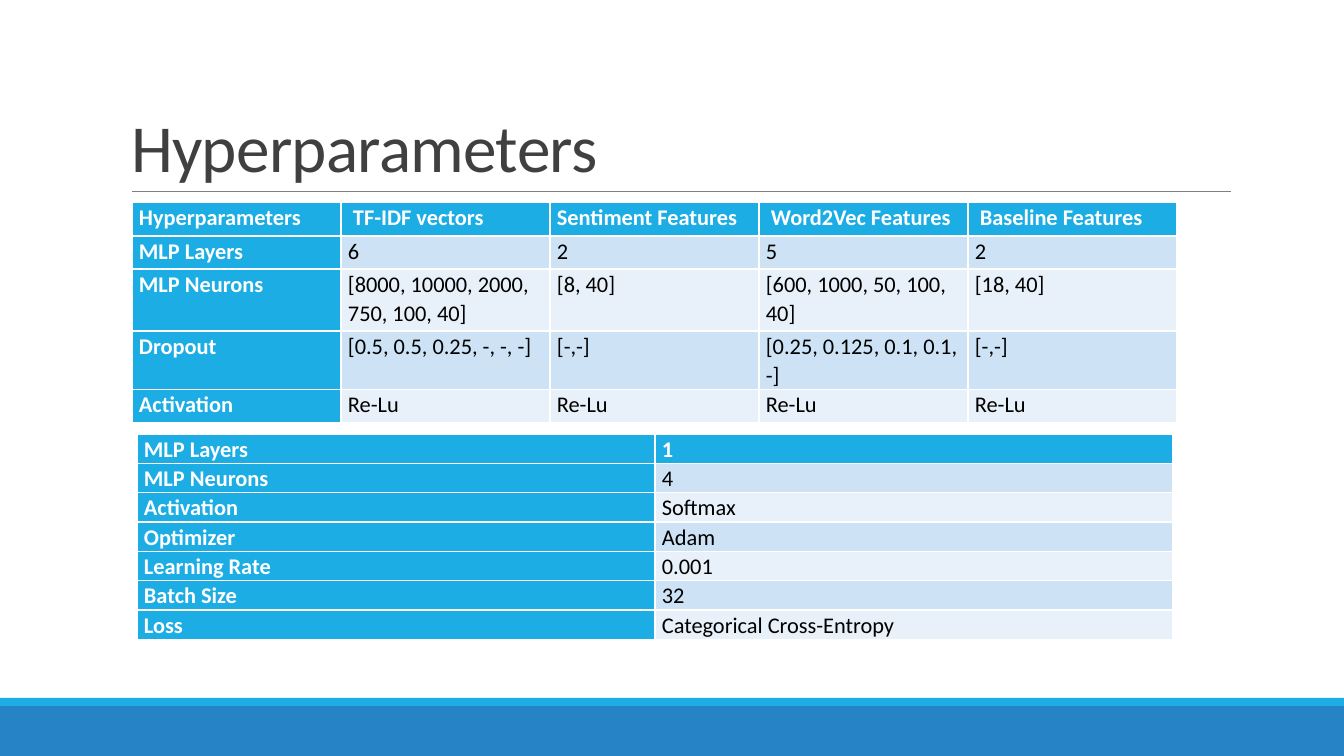
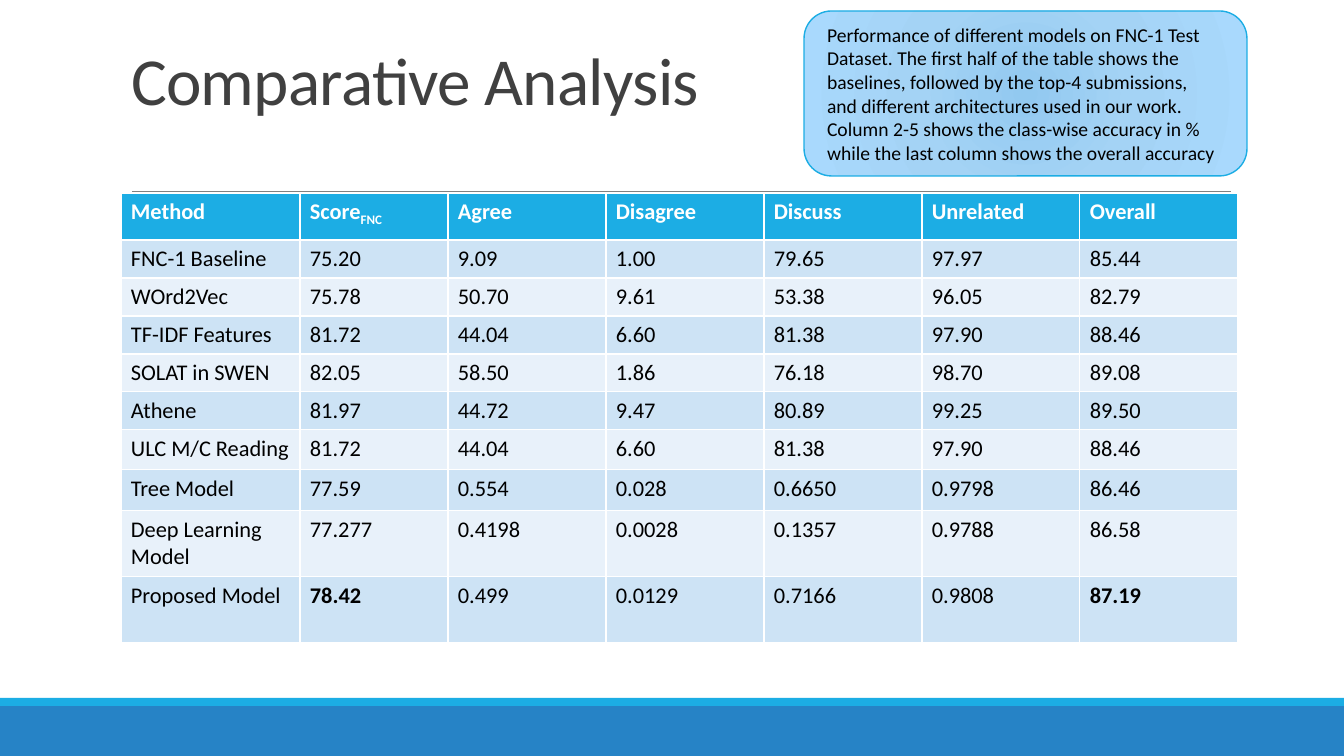
from pptx import Presentation, util as u
from pptx.dml.color import RGBColor
from pptx.enum import shapes, text
from pptx.oxml import parse_xml
from pptx.oxml.ns import nsdecls, qn
from pptx.oxml.xmlchemy import OxmlElement

BLUE = RGBColor(0x26, 0x83, 0xC6)
CYAN = RGBColor(0x1C, 0xAD, 0xE4)
BAND = RGBColor(0xCD, 0xE3, 0xF5)
PALE = RGBColor(0xE8, 0xF1, 0xFA)
GREY = RGBColor(0x80, 0x80, 0x80)
DARK = RGBColor(0x40, 0x40, 0x40)
WHITE = RGBColor(0xFF, 0xFF, 0xFF)
BLACK = RGBColor(0x00, 0x00, 0x00)
GLOW = [(0, "92C9F0"), (45, "A4D3F5"), (100, "A9D9FD")]
FONT = "Calibri"
SCALE = 914400 / 100.8


def px(*nums):
    return [u.Emu(round(n * SCALE)) for n in nums]


def add_grid(slide, spot, cols, rows, data, side=False, pad=(10, 5), lead=None):
    """Draw a banded table; side also colours the first column as a header."""
    size = sum(cols), sum(rows)
    grid = slide.shapes.add_table(len(rows), len(cols), *px(*spot, *size)).table
    grid.first_col = side
    for col, wide in zip(grid.columns, px(*cols)):
        col.width = wide
    for row, high in zip(grid.rows, px(*rows)):
        row.height = high
    for r, line in enumerate(data):
        for c, words in enumerate(line):
            head = r == 0 or (side and c == 0)
            cell = grid.cell(r, c)
            cell.margin_left, cell.margin_top = px(*pad)
            cell.margin_right, cell.margin_bottom = px(*pad)
            cell.fill.solid()
            cell.fill.fore_color.rgb = CYAN if head else (PALE, BAND)[r % 2]
            cell.text = words
            para = cell.text_frame.paragraphs[0]
            para.line_spacing = lead
            para.font.name, para.font.size = FONT, u.Pt(16)
            para.font.bold = head
            para.font.color.rgb = WHITE if head else BLACK
    return grid


deck = Presentation()
deck.slide_width, deck.slide_height = px(1344, 756)
layout = deck.slide_layouts[5]
for hold in list(layout.placeholders)[1:]:
    hold.element.getparent().remove(hold.element)

# Titles
slides = []
for name, top, high in [("Hyperparameters", 31, 160), ("Comparative Analysis", 34, 90)]:
    slide = deck.slides.add_slide(layout)
    title = slide.shapes.title
    title.left, title.top, title.width, title.height = px(121, top, 1109, high)
    frame = title.text_frame
    frame.text = name
    frame.auto_size = text.MSO_AUTO_SIZE.NONE
    frame.vertical_anchor = text.MSO_ANCHOR.BOTTOM
    para = frame.paragraphs[0]
    para.alignment = text.PP_ALIGN.LEFT
    para.line_spacing = 0.85
    para.font.name, para.font.size = FONT, u.Pt(48)
    para.font.color.rgb = DARK
    para._p.get_or_add_pPr().get_or_add_defRPr().set("spc", "-50")
    slides.append(slide)
params, scores = slides

# Footer bands and title rule, moved to the shared layout
parts = []
for top, high, tint in [(706, 50, BLUE), (698, 8, CYAN)]:
    bar = params.shapes.add_shape(shapes.MSO_SHAPE.RECTANGLE, *px(0, top, 1344, high))
    bar.shadow.inherit = False
    bar.fill.solid()
    bar.fill.fore_color.rgb = tint
    bar.line.fill.background()
    parts.append(bar)
rule = params.shapes.add_connector(shapes.MSO_CONNECTOR.STRAIGHT, *px(132, 191, 1231, 191))
rule.line.color.rgb, rule.line.width = GREY, u.Pt(0.5)
rule.element.spPr.append(OxmlElement("a:effectLst"))
parts.append(rule)
for part in parts:
    layout.shapes.element.append(part.element)

# Hyperparameters
add_grid(params, (132, 202), [209] * 5, [34, 33, 62, 50, 33], [
    ["Hyperparameters", " TF-IDF vectors", "Sentiment Features",
     " Word2Vec Features", " Baseline Features"],
    ["MLP Layers", "6", "2", "5", "2"],
    ["MLP Neurons", "[8000, 10000, 2000, 750, 100, 40]", "[8, 40]",
     "[600, 1000, 50, 100, 40]", "[18, 40]"],
    ["Dropout", "[0.5, 0.5, 0.25, -, -, -]", "[-,-]", "[0.25, 0.125, 0.1, 0.1, -]", "[-,-]"],
    ["Activation"] + ["Re-Lu"] * 4,
], side=True, pad=(7, 0), lead=1.07)
add_grid(params, (137, 434), [518] * 2, [24] * 7, [
    ["MLP Layers", "1"],
    ["MLP Neurons", "4"],
    ["Activation", "Softmax"],
    ["Optimizer", "Adam"],
    ["Learning Rate", "0.001"],
    ["Batch Size", "32"],
    ["Loss", "Categorical Cross-Entropy"],
], side=True, pad=(7, 0), lead=1.07)

# Comparative analysis
note = scores.shapes.add_shape(shapes.MSO_SHAPE.ROUNDED_RECTANGLE, *px(804, 11, 443, 165))
note.shadow.inherit = False
note.line.color.rgb, note.line.width = CYAN, u.Pt(1)
note.fill.gradient()
stops = "".join(f'<a:gs pos="{pos * 1000}"><a:srgbClr val="{tint}"/></a:gs>' for pos, tint in GLOW)
glow = parse_xml(
    f'<a:gradFill {nsdecls("a")}><a:gsLst>{stops}</a:gsLst><a:path path="circle">'
    '<a:fillToRect l="100000" t="100000" r="100000" b="100000"/></a:path></a:gradFill>')
props = note.element.spPr
props.replace(props.find(qn("a:gradFill")), glow)
frame = note.text_frame
frame.word_wrap = True
frame.margin_left, frame.margin_top, frame.margin_right, frame.margin_bottom = px(15, 0, 19, 0)
frame.vertical_anchor = text.MSO_ANCHOR.MIDDLE
frame.text = (
    "Performance of diﬀerent models on FNC-1 Test Dataset. The ﬁrst half of the table shows "
    "the baselines, followed by the top-4 submissions, and diﬀerent architectures used in our "
    "work. Column 2-5 shows the class-wise accuracy in % while the last column shows the "
    "overall accuracy")
para = frame.paragraphs[0]
para.alignment = text.PP_ALIGN.LEFT
para.font.name, para.font.size = FONT, u.Pt(14)
para.font.color.rgb = BLACK

grid = add_grid(scores, (121, 193), [179, 148] + [158] * 5, [47] + [38] * 5 + [40, 41, 66, 66], [
    ["Method", "Score", "Agree", "Disagree", "Discuss", "Unrelated", "Overall"],
    ["FNC-1 Baseline", "75.20", "9.09", "1.00", "79.65", "97.97", "85.44"],
    ["WOrd2Vec", "75.78", "50.70", "9.61", "53.38", "96.05", "82.79"],
    ["TF-IDF Features", "81.72", "44.04", "6.60", "81.38", "97.90", "88.46"],
    ["SOLAT in SWEN", "82.05", "58.50", "1.86", "76.18", "98.70", "89.08"],
    ["Athene", "81.97", "44.72", "9.47", "80.89", "99.25", "89.50"],
    ["ULC M/C Reading", "81.72", "44.04", "6.60", "81.38", "97.90", "88.46"],
    ["Tree Model", "77.59", "0.554", "0.028", "0.6650", "0.9798", "86.46"],
    ["Deep Learning Model", "77.277", "0.4198", "0.0028", "0.1357", "0.9788", "86.58"],
    ["Proposed Model", "78.42", "0.499", "0.0129", "0.7166", "0.9808", "87.19"],
])
sub = grid.cell(0, 1).text_frame.paragraphs[0].add_run()
sub.text = "FNC"
sub._r.get_or_add_rPr().set("baseline", "-25000")
for col in (1, 6):
    grid.cell(9, col).text_frame.paragraphs[0].font.bold = True

deck.save("out.pptx")
